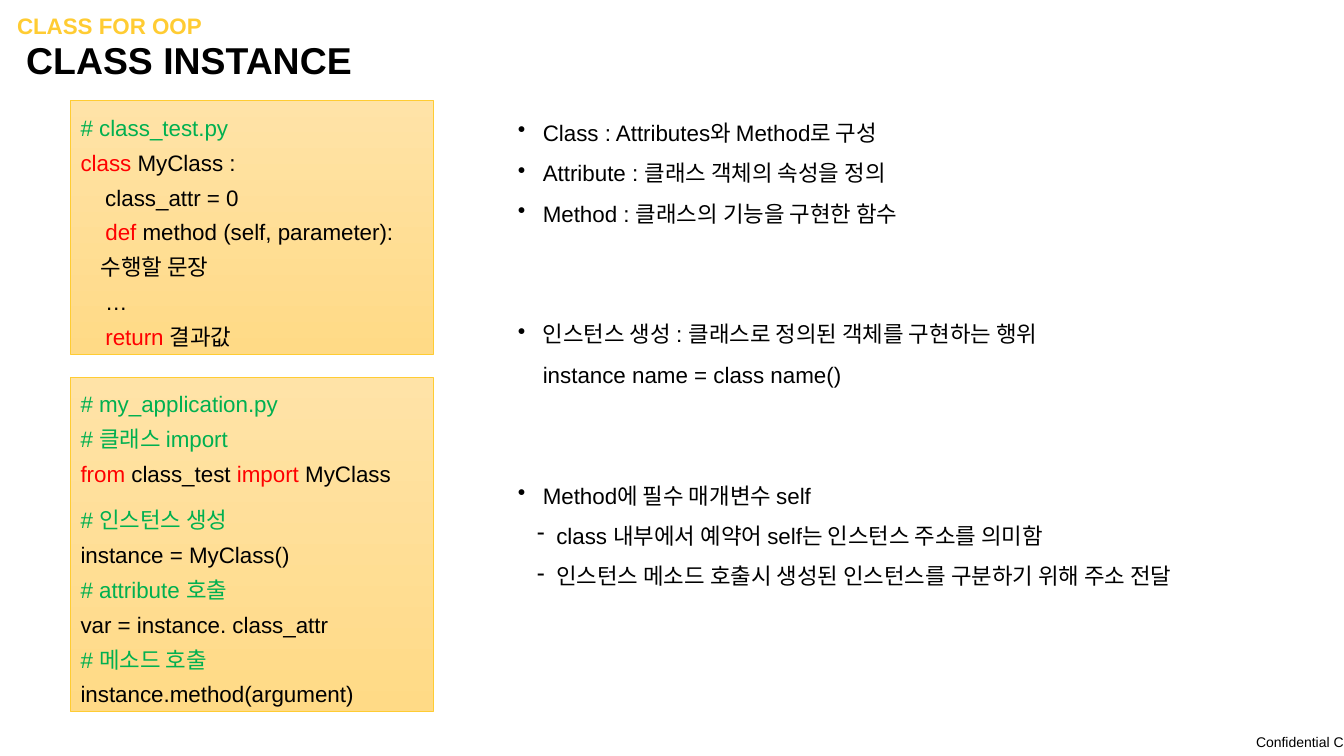
from dataclasses import dataclass

import pptx
import pptx.dml.color
import pptx.enum.shapes
import pptx.enum.text
import pptx.util
from lxml import etree

RGB = pptx.dml.color.RGBColor
Cm = pptx.util.Cm
Pt = pptx.util.Pt
Align = pptx.enum.text.PP_ALIGN
Anchor = pptx.enum.text.MSO_ANCHOR

BLACK = RGB(0x00, 0x00, 0x00)
RED = RGB(0xFF, 0x00, 0x00)
GREEN = RGB(0x00, 0xB0, 0x50)
GOLD = RGB(0xFF, 0xCC, 0x33)
LIGHT = RGB(0xFF, 0xE3, 0xA7)
DEEP = RGB(0xFF, 0xDA, 0x86)
FONT = "Arial"


@dataclass(frozen=True)
class Run:
    text: str
    color: RGB = BLACK


@dataclass(frozen=True)
class Line:
    runs: tuple[Run, ...]
    before: float = 0
    left: float = 0
    hang: float = 0
    mark: str = ""


@dataclass(frozen=True)
class Style:
    size: float = 16
    bold: bool = False
    space: float = 1.0
    align: Align = Align.LEFT
    anchor: Anchor = Anchor.TOP
    inset: bool = True


@dataclass(frozen=True)
class Box:
    left: float
    top: float
    width: float
    height: float
    style: Style
    lines: tuple[Line, ...]
    filled: bool = False


def plain(text: str, color: RGB = BLACK, before: float = 0) -> Line:
    return Line((Run(text, color),), before)


def note(text: str, before: float = 0) -> Line:
    return plain(text, GREEN, before)


def point(text: str, before: float = 0) -> Line:
    return Line((Run(text),), before, 0.63, 0.63, "•")


def dash(text: str) -> Line:
    return Line((Run(text),), 0, 0.97, 0.48, "-")


def write(frame: pptx.text.text.TextFrame, lines: tuple[Line, ...], style: Style) -> None:
    frame.word_wrap = True
    frame.vertical_anchor = style.anchor
    if not style.inset:
        frame.margin_left = frame.margin_right = 0
        frame.margin_top = frame.margin_bottom = 0
    for index, line in enumerate(lines):
        para = frame.paragraphs[0] if index == 0 else frame.add_paragraph()
        para.alignment = style.align
        para.line_spacing = style.space
        if line.before:
            para.space_before = Pt(line.before)
        props = para._p.get_or_add_pPr()
        if line.left:
            props.set("marL", str(int(Cm(line.left))))
            props.set("indent", str(-int(Cm(line.hang))))
        if line.mark:
            bullet = etree.SubElement(props, pptx.oxml.ns.qn("a:buChar"))
            bullet.set("char", line.mark)
        for part in line.runs:
            run = para.add_run()
            run.text = part.text
            run.font.name = FONT
            run.font.size = Pt(style.size)
            run.font.bold = style.bold
            run.font.color.rgb = part.color


def draw(slide: pptx.slide.Slide, box: Box) -> None:
    area = Cm(box.left), Cm(box.top), Cm(box.width), Cm(box.height)
    if box.filled:
        kind = pptx.enum.shapes.MSO_SHAPE.RECTANGLE
        shape = slide.shapes.add_shape(kind, *area)
        shape.shadow.inherit = False
        shape.fill.gradient()
        shape.fill.gradient_angle = 270
        for stop, color in zip(shape.fill.gradient_stops, (LIGHT, DEEP)):
            stop.color.rgb = color
        shape.line.color.rgb = GOLD
        shape.line.width = Pt(0.5)
    else:
        shape = slide.shapes.add_textbox(*area)
    write(shape.text_frame, box.lines, box.style)


CODE = Style(space=1.3)
LIST = Style(space=1.5)
HEAD = Style(bold=True, space=0.9, inset=False)
TITLE = Style(26.7, True, 0.9, anchor=Anchor.MIDDLE, inset=False)
FOOT = Style(10, align=Align.RIGHT, anchor=Anchor.MIDDLE, inset=False)
GAP = 57.6

MODULE = (
    note("# class_test.py"),
    Line((Run("class ", RED), Run("MyClass :"))),
    plain("    class_attr = 0"),
    Line((Run("    "), Run("def", RED), Run(" method (self, parameter):"))),
    plain("    수행할 문장"),
    plain("    …"),
    Line((Run("    "), Run("return", RED), Run(" 결과값"))),
)

CALLER = (
    note("# my_application.py"),
    note("# 클래스 import"),
    Line((Run("from ", RED), Run("class_test "), Run("import ", RED), Run("MyClass"))),
    note("# 인스턴스 생성", 8),
    plain("instance = MyClass()"),
    note("# attribute 호출"),
    plain("var = instance. class_attr"),
    note("# 메소드 호출"),
    plain("instance.method(argument)"),
)

POINTS = (
    point("Class : Attributes와 Method로 구성"),
    point("Attribute : 클래스 객체의 속성을 정의"),
    point("Method : 클래스의 기능을 구현한 함수"),
    point("인스턴스 생성 : 클래스로 정의된 객체를 구현하는 행위", GAP),
    Line((Run("instance name = class name()"),), left=0.63),
    point("Method에 필수 매개변수 self", GAP),
    dash("class 내부에서 예약어 self는 인스턴스 주소를 의미함"),
    dash("인스턴스 메소드 호출시 생성된 인스턴스를 구분하기 위해 주소 전달"),
)

BOXES = (
    Box(30.86, 18.36, 3, 0.69, FOOT, (plain("Confidential C"),)),
    Box(0.43, 0.38, 32.54, 0.61, HEAD, (plain("CLASS FOR OOP", GOLD),)),
    Box(0.66, 1.09, 32.54, 0.97, TITLE, (plain("CLASS INSTANCE"),)),
    Box(1.78, 2.54, 9.14, 6.38, CODE, MODULE, True),
    Box(1.78, 9.5, 9.14, 8.43, CODE, CALLER, True),
    Box(12.8, 2.54, 20.4, 12.45, LIST, POINTS),
)


def main() -> None:
    deck = pptx.Presentation()
    deck.slide_width = Cm(33.87)
    deck.slide_height = Cm(19.05)
    slide = deck.slides.add_slide(deck.slide_layouts[6])
    for box in BOXES:
        draw(slide, box)
    deck.save("out.pptx")


if __name__ == "__main__":
    main()
